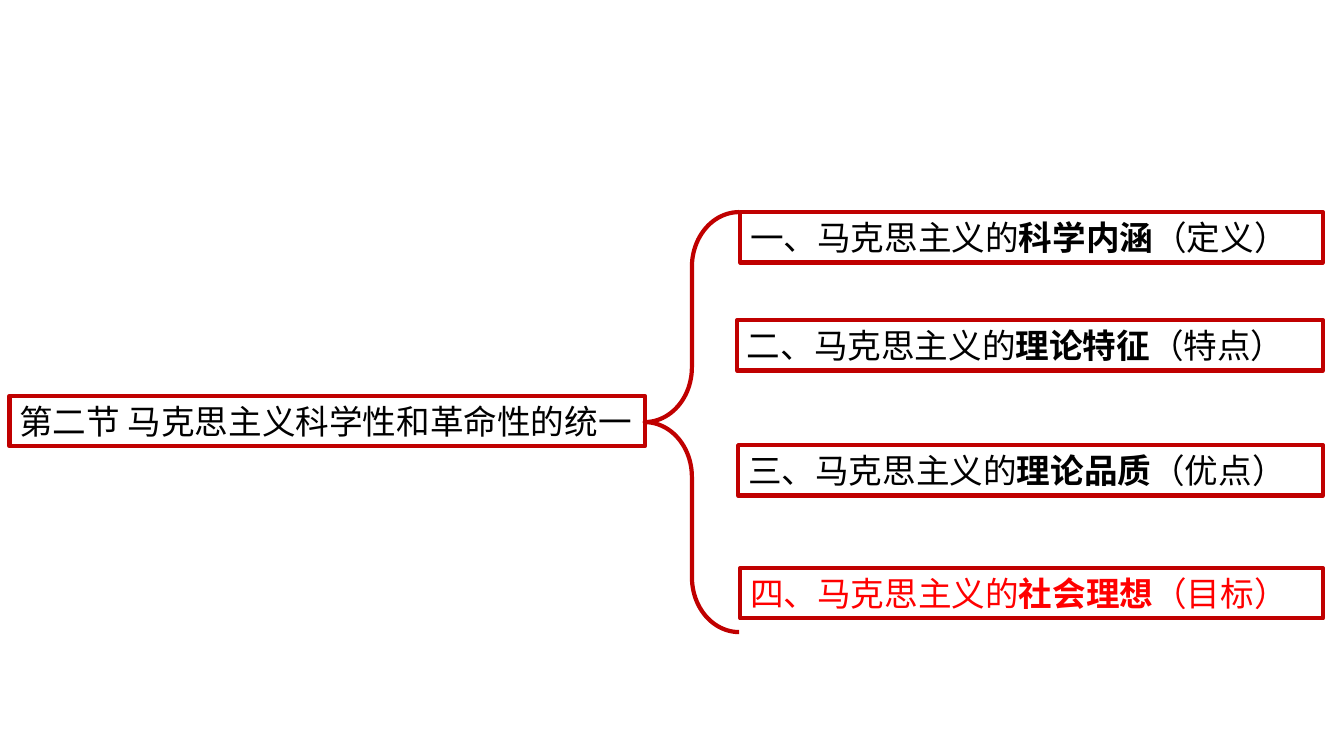
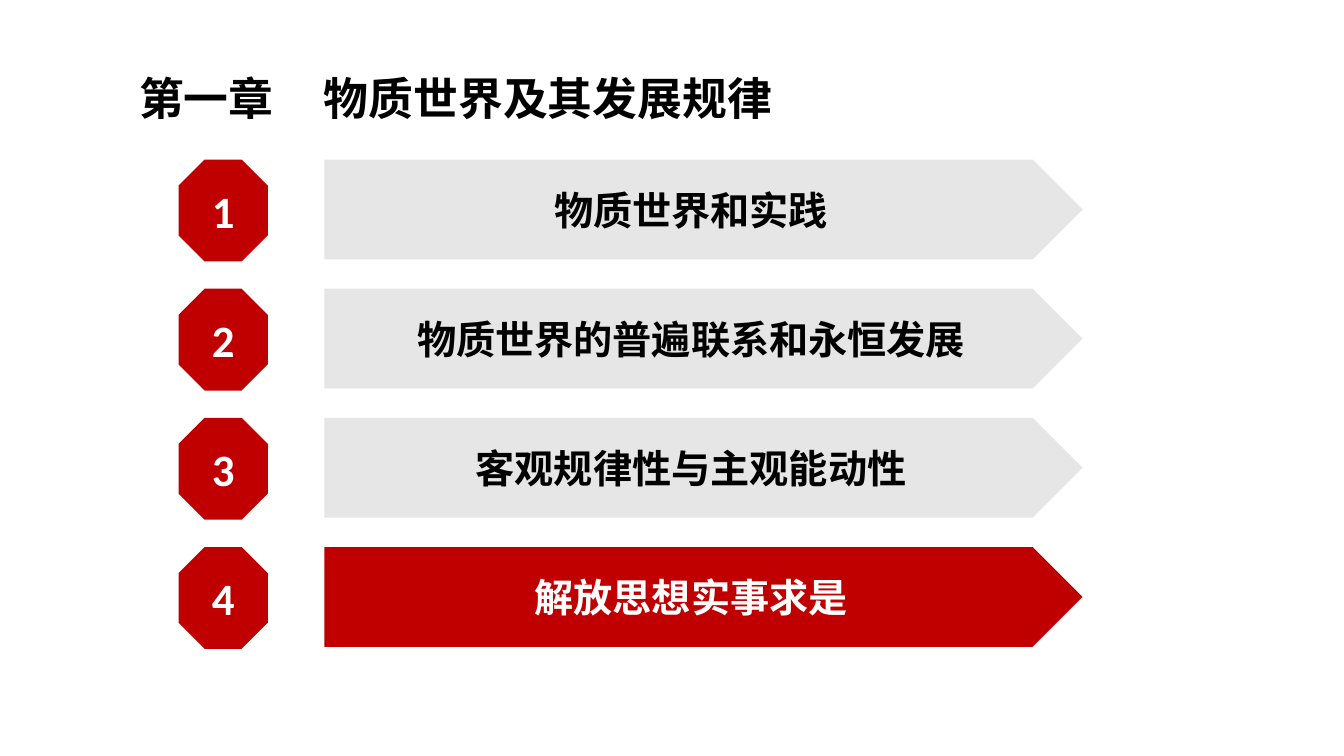
from lxml.etree import SubElement
from pptx import Presentation
from pptx.dml.color import RGBColor
from pptx.enum.shapes import MSO_SHAPE as Shp
from pptx.enum.text import MSO_ANCHOR as Anchor, PP_ALIGN as Align
from pptx.oxml.ns import qn
from pptx.util import Pt

PX = 9525
COLORS = {"red": "C00000", "accent": "FF0000", "grey": "E7E6E6", "black": "000000", "white": "FFFFFF"}
CJK, LATIN = "Noto Sans CJK SC", "Calibri"


class Deck:
    """Holds the shared style and draws elements on the current slide."""

    def __init__(self):
        self.prs = Presentation()
        self.prs.slide_width, self.prs.slide_height = 1280 * PX, 720 * PX

    def new_slide(self):
        self.s = self.prs.slides.add_slide(self.prs.slide_layouts[6])

    def color(self, name):
        return RGBColor.from_string(COLORS[name])

    def run(self, p, text, size, color="black", bold=False, font=CJK):
        r = p.add_run()
        r.text = text
        r.font.size, r.font.bold, r.font.name = Pt(size), bold, font
        r.font.color.rgb = self.color(color)
        SubElement(r.font._element, qn("a:ea")).set("typeface", font)

    def shape(self, kind, x, y, w, h, fill=None, line=None):
        sp = self.s.shapes.add_shape(kind, x * PX, y * PX, w * PX, h * PX)
        sp.shadow.inherit = False
        if fill:
            sp.fill.solid()
            sp.fill.fore_color.rgb = self.color(fill)
        else:
            sp.fill.background()
        if line:
            sp.line.color.rgb = self.color(line)
            sp.line.width = Pt(3)
        else:
            sp.line.fill.background()
        return sp

    def brace(self, x, y, w, h):
        sp = self.shape(Shp.LEFT_BRACE, x, y, w, h, line="red")
        sp.adjustments[0], sp.adjustments[1] = 0.58, 0.5

    def outline_box(self, x, y, w, runs, color="black"):
        tf = self.shape(Shp.RECTANGLE, x, y, w, 48, line="red").text_frame
        tf.word_wrap, tf.vertical_anchor = True, Anchor.TOP
        p = tf.paragraphs[0]
        p.alignment = Align.LEFT
        for text, bold in runs:
            self.run(p, text, 24, color, bold)

    def block(self, kind, x, y, w, h, text, size, fill, color, font=CJK):
        tf = self.shape(kind, x, y, w, h, fill).text_frame
        tf.word_wrap, tf.vertical_anchor = True, Anchor.MIDDLE
        p = tf.paragraphs[0]
        p.alignment = Align.CENTER
        self.run(p, text, size, color, True, font)

    def title(self, x, y, w, h, text, tab):
        tf = self.s.shapes.add_textbox(x * PX, y * PX, w * PX, h * PX).text_frame
        tf.word_wrap, tf.vertical_anchor = True, Anchor.MIDDLE
        p = tf.paragraphs[0]
        tabs = SubElement(p._p.get_or_add_pPr(), qn("a:tabLst"))
        stop = SubElement(tabs, qn("a:tab"))
        stop.set("pos", str(tab * PX))
        stop.set("algn", "l")
        p.line_spacing = 0.9
        self.run(p, text, 32, bold=True)


def section_map(deck):
    deck.new_slide()
    deck.outline_box(9, 377, 605, [("第二节 马克思主义科学性和革命性的统一", False)])
    deck.brace(614, 202, 90, 400)
    right = 1260
    topics = [
        (705, 202, "一", "科学内涵", "定义", "black"),
        (702, 305, "二", "理论特征", "特点", "black"),
        (703, 424, "三", "理论品质", "优点", "black"),
        (705, 541, "四", "社会理想", "目标", "accent"),
    ]
    for x, y, number, topic, note, color in topics:
        runs = [(f"{number}、马克思主义的", False), (topic, True), (f"（{note}）", False)]
        deck.outline_box(x, y, right - x, runs, color)


def chapter_agenda(deck):
    deck.new_slide()
    deck.title(123, 58, 1009, 76, "第一章\t物质世界及其发展规律", 176)
    topics = ["物质世界和实践", "物质世界的普遍联系和永恒发展", "客观规律性与主观能动性", "解放思想实事求是"]
    top, pitch, current = 152, 123, 4
    for number, topic in enumerate(topics, 1):
        y = top + (number - 1) * pitch
        fill, color = ("red", "white") if number == current else ("grey", "black")
        deck.block(Shp.OCTAGON, 170, y, 85, 97, str(number), 32, "red", "white", LATIN)
        deck.block(Shp.PENTAGON, 309, y, 722, 95, topic, 28, fill, color)


def main():
    deck = Deck()
    section_map(deck)
    chapter_agenda(deck)
    deck.prs.save("out.pptx")


if __name__ == "__main__":
    main()
